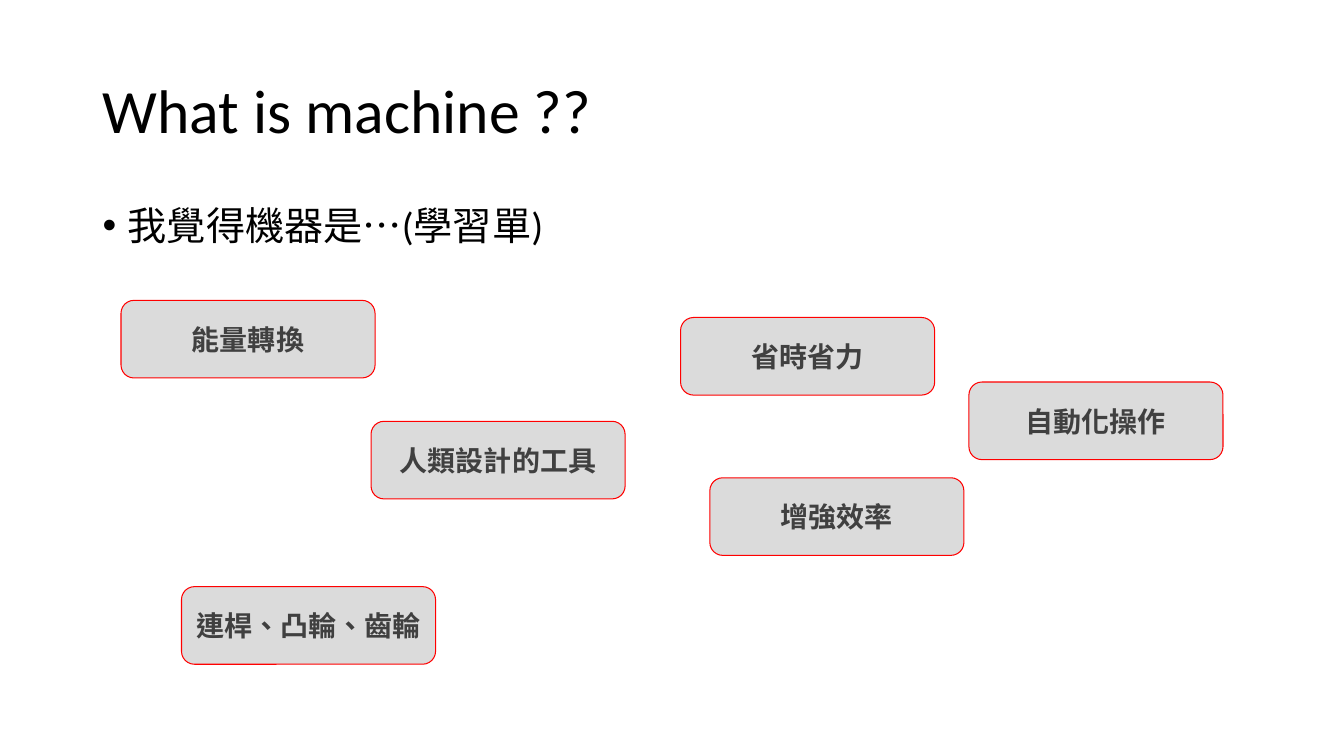
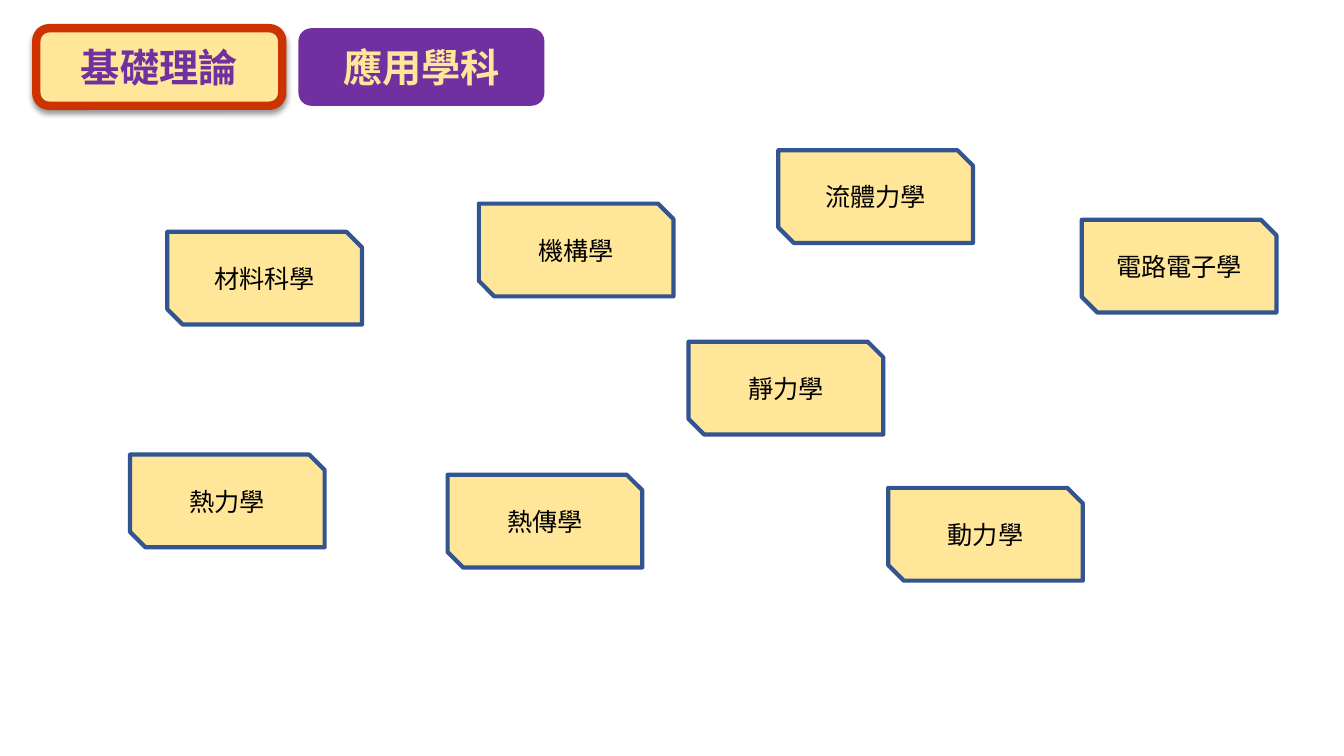
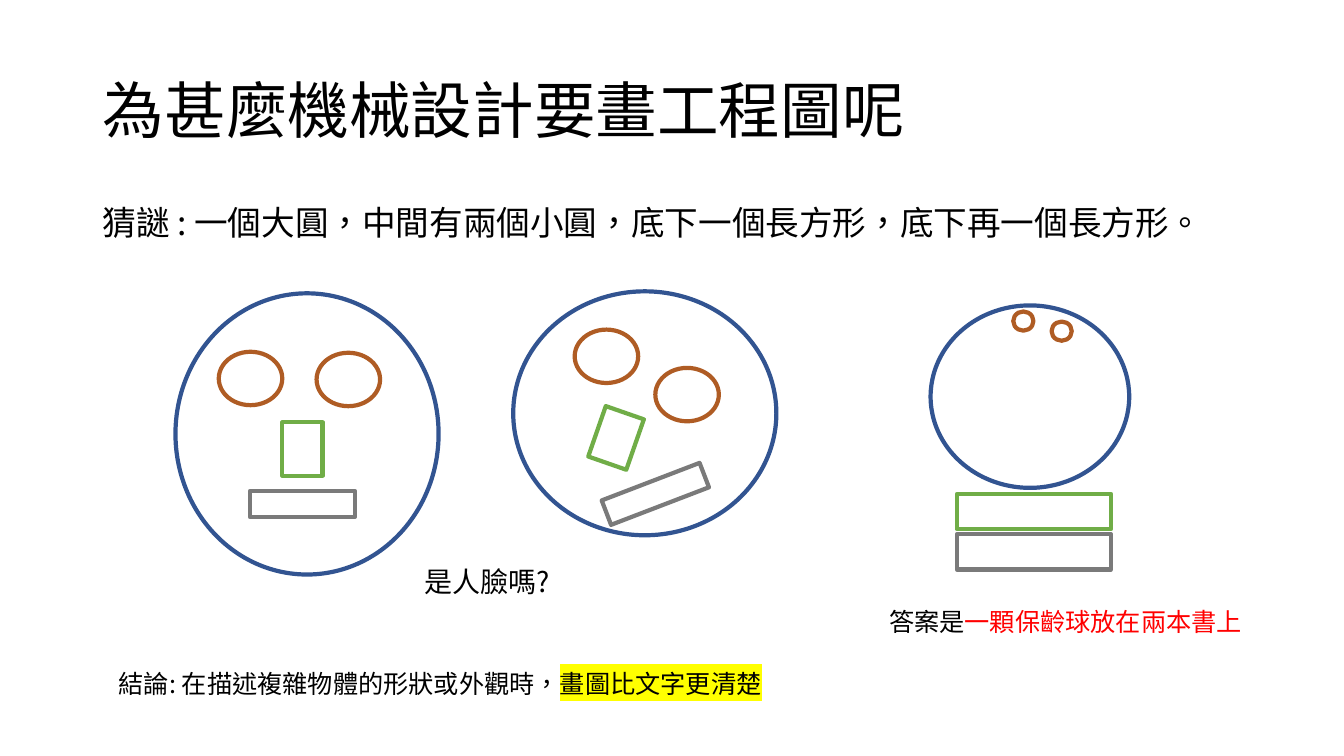
from lxml import etree
from pptx import Presentation
from pptx.dml.color import RGBColor
from pptx.enum.shapes import MSO_SHAPE
from pptx.enum.text import MSO_ANCHOR, PP_ALIGN
from pptx.oxml.ns import qn
from pptx.util import Pt

PX = 9144  # 100 px to the inch
ROUND, SNIP = MSO_SHAPE.ROUNDED_RECTANGLE, MSO_SHAPE.SNIP_2_DIAG_RECTANGLE
OVAL, RECT = MSO_SHAPE.OVAL, MSO_SHAPE.RECTANGLE
LEFT, MID = PP_ALIGN.LEFT, PP_ALIGN.CENTER
TOP, CENTER = MSO_ANCHOR.TOP, MSO_ANCHOR.MIDDLE

BLACK = RGBColor(0x00, 0x00, 0x00)
DARK = RGBColor(0x40, 0x40, 0x40)
SILVER = RGBColor(0xDB, 0xDB, 0xDB)
GRAY = RGBColor(0x7A, 0x7A, 0x7A)
RED = RGBColor(0xFF, 0x00, 0x00)
BRICK = RGBColor(0xCC, 0x33, 0x00)
CREAM = RGBColor(0xFF, 0xE6, 0x99)
PURPLE = RGBColor(0x70, 0x30, 0xA0)
BLUE = RGBColor(0x32, 0x54, 0x91)
BROWN = RGBColor(0xAF, 0x5C, 0x24)
GREEN = RGBColor(0x70, 0xAD, 0x47)
YELLOW = RGBColor(0xFF, 0xFF, 0x00)

LATIN, HAN = "Calibri", "Noto Sans CJK SC"
HEAD = (92, 40, 1150, 145)
BODY = (92, 200, 1150, 476)


def emu(box):
    return [v * PX for v in box]


# Text
def style(run, size, color=BLACK, bold=False, face=HAN, mark=None):
    font = run.font
    font.size, font.bold, font.name = Pt(size), bold, face
    font.color.rgb = color
    props = run._r.get_or_add_rPr()
    props.set("lang", "zh-TW")
    latin = props.find(qn("a:latin"))
    east = etree.Element(qn("a:ea"), typeface=HAN)
    latin.addnext(east)
    if mark:
        tint = etree.Element(qn("a:highlight"))
        etree.SubElement(tint, qn("a:srgbClr"), val=str(mark))
        latin.addprevious(tint)


def title(slide, text, face=HAN):
    head = slide.shapes.title
    head.left, head.top, head.width, head.height = emu(HEAD)
    frame = head.text_frame
    frame.text, frame.vertical_anchor = text, CENTER
    para = frame.paragraphs[0]
    para.alignment, para.line_spacing = LEFT, 0.9
    style(para.runs[0], 44, face=face)


def note(slide, box, parts, size, face=HAN):
    """Text box; each part is a text and its extra style."""
    frame = slide.shapes.add_textbox(*emu(box)).text_frame
    frame.word_wrap, frame.vertical_anchor = True, TOP
    para = frame.paragraphs[0]
    for text, extra in parts:
        run = para.add_run()
        run.text = text
        style(run, size, face=face, **extra)
    return para


def body(slide, text, size, face=HAN, bullet=False):
    para = note(slide, BODY, [(text, {})], size, face)
    para.line_spacing = 0.9
    if bullet:
        props = para._p.get_or_add_pPr()
        props.set("marL", str(25 * PX))
        props.set("indent", str(-25 * PX))
        etree.SubElement(props, qn("a:buFont"), typeface="Arial")
        etree.SubElement(props, qn("a:buChar"), char="•")


# Shapes
def shape(slide, kind, box, fill=None, line=None, width=3, turn=0):
    item = slide.shapes.add_shape(kind, *emu(box))
    item.shadow.inherit = False
    item.rotation = turn
    if fill:
        item.fill.solid()
        item.fill.fore_color.rgb = fill
    else:
        item.fill.background()
    if line:
        item.line.color.rgb = line
        item.line.width = Pt(width)
    else:
        item.line.fill.background()
    return item


def label(item, text, size, color, bold=True):
    frame = item.text_frame
    frame.text, frame.vertical_anchor = text, CENTER
    para = frame.paragraphs[0]
    para.alignment = MID
    style(para.runs[0], size, color, bold)


def shade(item):
    glow = etree.SubElement(
        item._element.spPr.find(qn("a:effectLst")), qn("a:outerShdw"),
        blurRad=str(Pt(4)), dist=str(Pt(3)), dir="5400000",
        algn="t", rotWithShape="0")
    tone = etree.SubElement(glow, qn("a:srgbClr"), val=str(BLACK))
    etree.SubElement(tone, qn("a:alpha"), val="40000")


def figure(slide, box, dots, size, bars):
    """Big circle with small circles and two bars, placed from its corner."""
    left, top = box[:2]
    shape(slide, OVAL, box, line=BLUE)
    for x, y in dots:
        shape(slide, OVAL, (left + x, top + y, *size), line=BROWN)
    for (x, y, wide, high, turn), color in zip(bars, (GREEN, GRAY)):
        shape(slide, RECT, (left + x, top + y, wide, high),
              line=color, turn=turn)


# Slides
def ideas(slide):
    title(slide, "What is machine ??", LATIN)
    body(slide, "我覺得機器是…(學習單)", 28, LATIN, True)
    for text, x, y in (
            ("能量轉換", 120, 298), ("人類設計的工具", 368, 418),
            ("省時省力", 675, 315), ("連桿、凸輪、齒輪", 180, 582),
            ("增強效率", 704, 474), ("自動化操作", 961, 379)):
        card = shape(slide, ROUND, (x, y, 252, 77), SILVER, RED, 0.75)
        label(card, text, 20, DARK)


def fields(slide):
    # Tabs
    base = shape(slide, ROUND, (36, 28, 244, 77), CREAM, BRICK, 6)
    shade(base)
    label(base, "基礎理論", 28, PURPLE)
    used = shape(slide, ROUND, (296, 28, 244, 77), PURPLE)
    label(used, "應用學科", 28, CREAM)
    # Subject cards
    for text, x, y in (
            ("材料科學", 166, 230), ("機構學", 475, 202),
            ("熱力學", 129, 451), ("熱傳學", 444, 471),
            ("靜力學", 683, 339), ("流體力學", 772, 149),
            ("電路電子學", 1073, 218), ("動力學", 881, 484)):
        card = shape(slide, SNIP, (x, y, 193, 92), CREAM, BLUE)
        label(card, text, 18, BLACK, False)


def riddle(slide):
    title(slide, "為甚麼機械設計要畫工程圖呢")
    body(slide, "猜謎 : 一個大圓，中間有兩個小圓，底下一個長方形，"
                "底下再一個長方形。", 24)
    # Upright face, tilted face, ball on books
    eye = (63, 53)
    figure(slide, (174, 291, 261, 279), ((43, 58), (140, 59)), eye,
           ((106, 128, 40, 53, 0), (74, 196, 104, 26, 0)))
    figure(slide, (509, 289, 261, 242), ((61, 38), (141, 76)), eye,
           ((82, 119, 40, 53, 19.2), (89, 188, 104, 26, 339)))
    figure(slide, (923, 303, 197, 181), ((120, 16), (82, 6)), (20, 19),
           ((26, 187, 153, 35, 0), (26, 227, 153, 35, 0)))
    # Captions
    note(slide, (411, 555, 222, 44), [("是人臉嗎?", {})], 20)
    note(slide, (872, 597, 381, 40),
         [("答案是", {}), ("一顆保齡球放在兩本書上", {"color": RED})], 18)
    note(slide, (108, 658, 726, 40),
         [("結論: 在描述複雜物體的形狀或外觀時，", {}),
          ("畫圖比文字更清楚", {"mark": YELLOW})], 18)


def main():
    deck = Presentation()
    deck.slide_width, deck.slide_height = 1333 * PX, 750 * PX
    only, blank = deck.slide_layouts[5], deck.slide_layouts[6]
    for build, layout in ((ideas, only), (fields, blank), (riddle, only)):
        build(deck.slides.add_slide(layout))
    deck.save("out.pptx")


if __name__ == "__main__":
    main()
